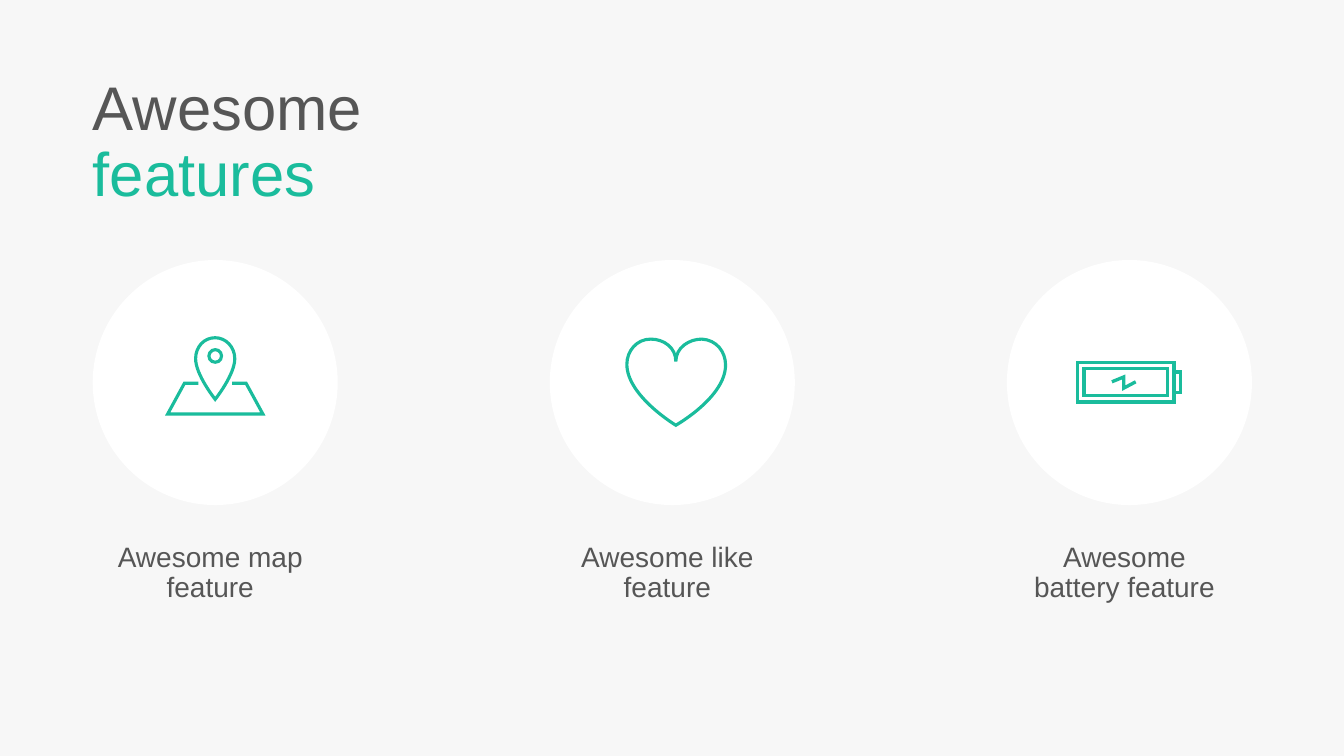
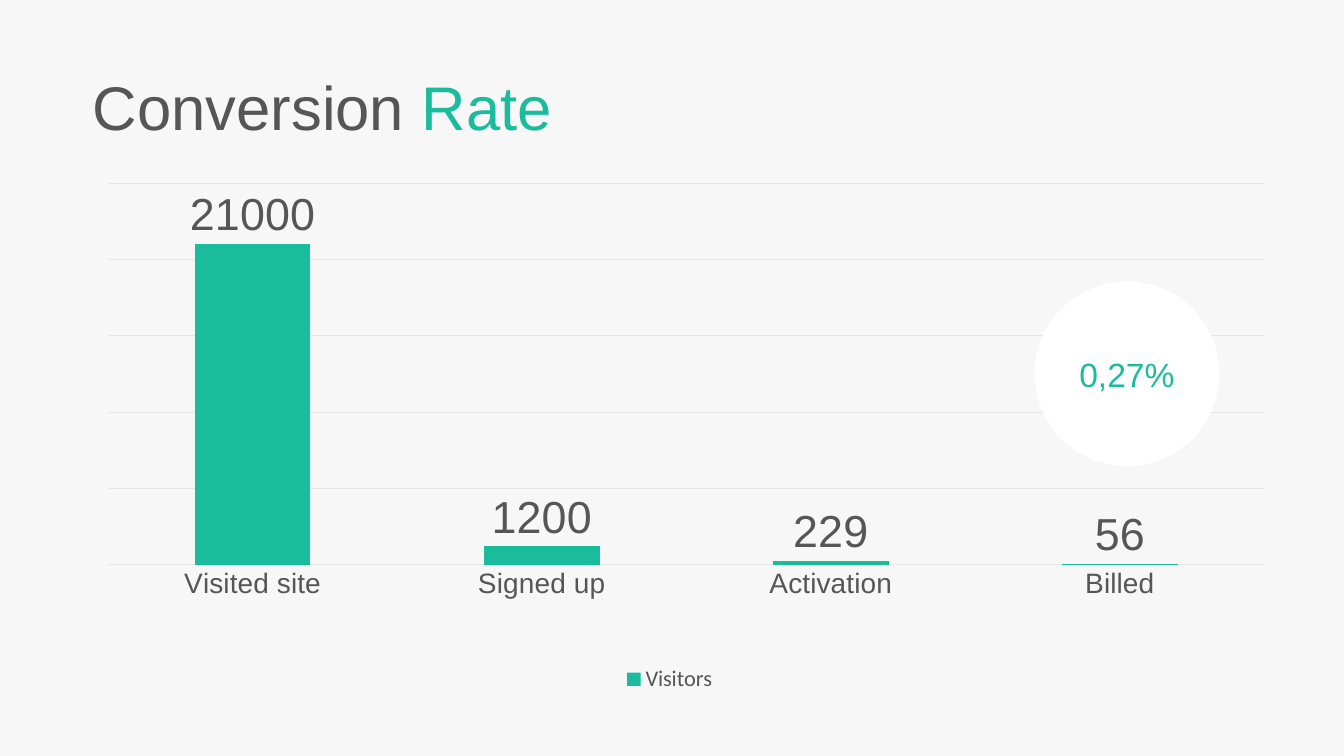
from lxml.etree import SubElement
from pptx import Presentation
from pptx.chart.data import CategoryChartData
from pptx.dml.color import RGBColor
from pptx.enum.chart import XL_CHART_TYPE as CHART, XL_LABEL_POSITION as LABEL
from pptx.enum.chart import XL_LEGEND_POSITION as LEGEND, XL_TICK_MARK as TICK
from pptx.enum.shapes import MSO_SHAPE as SHAPE
from pptx.enum.text import MSO_ANCHOR as ANCHOR, MSO_AUTO_SIZE as AUTO, PP_ALIGN as ALIGN
from pptx.oxml import parse_xml
from pptx.oxml.ns import nsdecls, qn
from pptx.util import Pt

BACK, WHITE, GREEN, GREY, RULE = "F7F7F7", "FFFFFF", "1ABC9C", "565656", "E6E6E6"
FONT = "Arial"
LEFT, TOP = 66.25, 51.5

PIN = [(101.5, 70.5), (101.5, 62, 95, 55.5, 87.5, 55.5), (79.5, 55.5, 73.5, 62, 73.5, 70.5),
       (73.5, 82, 87.5, 99.5, 87.5, 99.5), (87.5, 99.5, 101.5, 82, 101.5, 70.5)]
MAP = [(75.5, 88), (65.5, 88), (53.5, 110), (87.5, 110), (121.5, 110), (109.5, 88), (99.5, 88)]
HEART = [(55, 74.5), (55, 97, 90, 118, 90, 118), (90, 118, 125.5, 98, 125.5, 75),
         (125.5, 65.5, 119, 57, 108.5, 56.5), (99.5, 56.5, 90, 62.5, 90, 72.5),
         (90, 62.5, 81.5, 56.5, 72, 56.5), (62, 56.5, 55, 65, 55, 74.5)]
CAP = [(119.5, 80), (124, 80), (124, 94.5), (119.5, 94.5)]
BOLT = [(75, 87), (83.5, 83.5), (83.5, 91.5), (92, 87)]


def color(value):
    """Return the colour for a hex string."""
    return RGBColor.from_string(value)


def style(font, size, fill=GREY, name=FONT):
    """Set the size, colour and name of a font."""
    font.size, font.name = Pt(size), name
    font.color.rgb = color(fill)


def write(tf, *runs, size, align=ALIGN.LEFT, before=0, spacing=0.9):
    """Fill a text frame with one paragraph of (text, colour) runs."""
    tf.word_wrap, tf.vertical_anchor, tf.auto_size = True, ANCHOR.TOP, AUTO.SHAPE_TO_FIT_TEXT
    tf.margin_left, tf.margin_right = Pt(0), Pt(7.2)
    tf.margin_top = tf.margin_bottom = Pt(3.6)
    p = tf.paragraphs[0]
    p.alignment, p.space_before, p.line_spacing = align, Pt(before), spacing
    for text, fill in runs:
        r = p.add_run()
        r.text = text
        style(r.font, size, fill)


def new_slide(prs, height, *runs):
    """Add a slide with its two-colour title."""
    s = prs.slides.add_slide(prs.slide_layouts[5])
    title = s.shapes.title
    title.left, title.top, title.width, title.height = Pt(LEFT), Pt(TOP), Pt(353), Pt(height)
    write(title.text_frame, *runs, size=44, before=10)
    return s


def disc(shapes, x, y, size):
    """Add a plain white circle."""
    sp = shapes.add_shape(SHAPE.OVAL, Pt(x), Pt(y), Pt(size), Pt(size))
    sp.shadow.inherit = False
    sp.fill.solid()
    sp.fill.fore_color.rgb = color(WHITE)
    sp.line.fill.background()
    return sp


def outline(sp, width):
    """Give a shape a green mitred line and no fill."""
    sp.shadow.inherit = False
    sp.fill.background()
    sp.line.color.rgb = color(GREEN)
    sp.line.width = Pt(width)
    SubElement(sp.line._get_or_add_ln(), qn("a:miter"), lim="800000")


def draw_path(shapes, x, y, path, width=2.25, close=False):
    """Draw points and cubic curves relative to the corner of a circle."""
    ends = [(Pt(x + part[-2]), Pt(y + part[-1])) for part in path]
    builder = shapes.build_freeform(*ends[0])
    builder.add_line_segments(ends[1:], close=close)
    sp = builder.convert_to_shape()
    left, top = (min(axis) for axis in zip(*ends))
    segments = list(sp.element.iter(qn("a:lnTo")))
    for segment, part in zip(segments, path[1:]):
        if len(part) == 6:
            curve = parse_xml(f'<a:cubicBezTo {nsdecls("a")}/>')
            for px, py in zip(part[::2], part[1::2]):
                SubElement(curve, qn("a:pt"), x=str(Pt(x + px) - left), y=str(Pt(y + py) - top))
            segment.getparent().replace(segment, curve)
    outline(sp, width)


def draw_preset(shapes, kind, x, y, w, h, width=2.25):
    """Draw an outlined preset shape."""
    outline(shapes.add_shape(kind, Pt(x), Pt(y), Pt(w), Pt(h)), width)


def map_icon(s, x, y):
    """Draw a pin on a map."""
    shapes = s.shapes.add_group_shape().shapes
    draw_preset(shapes, SHAPE.OVAL, x + 83, y + 64, 9, 9)
    draw_path(shapes, x, y, PIN, close=True)
    draw_path(shapes, x, y, MAP)


def heart_icon(s, x, y):
    """Draw a heart."""
    draw_path(s.shapes, x, y, HEART, close=True)


def battery_icon(s, x, y):
    """Draw a battery with a charging bolt."""
    shapes = s.shapes.add_group_shape().shapes
    draw_preset(shapes, SHAPE.RECTANGLE, x + 50.5, y + 73, 69, 28.5, 2.38)
    draw_path(shapes, x, y, CAP, 2.38)
    draw_preset(shapes, SHAPE.RECTANGLE, x + 55, y + 77.5, 59.5, 19.5, 2.38)
    draw_path(shapes, x, y, BOLT, 2.38)


def feature(s, x, y, icon, label):
    """Place a circle, its icon and its label."""
    disc(s.shapes, x, y, 175)
    icon(s, x, y)
    tb = s.shapes.add_textbox(Pt(x + 8), Pt(y + 198.75), Pt(159), Pt(51))
    write(tb.text_frame, (label, GREY), size=20, align=ALIGN.CENTER)


def features_slide(prs):
    """Build the slide of three features."""
    s = new_slide(prs, 103, ("Awesome ", GREY), ("features", GREEN))
    features = [(map_icon, "Awesome map feature"), (heart_icon, "Awesome like feature"),
                (battery_icon, "Awesome battery feature")]
    for i, (icon, label) in enumerate(features):
        feature(s, LEFT + i * 326.5, 185.75, icon, label)


def set_layout(part, index, target="", **box):
    """Fix a chart part at fractions of the chart."""
    for old in part.findall(qn("c:layout")):
        part.remove(old)
    sizes = "".join(f'<c:{k} val="{v}"/>' for k, v in box.items())
    part.insert(index, parse_xml(
        f'<c:layout {nsdecls("c")}><c:manualLayout>{target}'
        f'<c:xMode val="edge"/><c:yMode val="edge"/>{sizes}</c:manualLayout></c:layout>'))


def visitor_chart(s, x, y, w, h):
    """Add the column chart of visitors."""
    data = CategoryChartData()
    data.categories = ["Visited site", "Signed up", "Activation", "Billed"]
    data.add_series("Visitors", [21000, 1200, 229, 56])
    frame = s.shapes.add_chart(CHART.COLUMN_CLUSTERED, Pt(x), Pt(y), Pt(w), Pt(h), data)
    chart = frame.chart
    chart.has_title = False
    style(chart.font, 10, name="Calibri")

    chart.has_legend = True
    chart.legend.position, chart.legend.include_in_layout = LEGEND.BOTTOM, False
    style(chart.legend.font, 16, name="Calibri")
    set_layout(chart.element.find(".//" + qn("c:legend")), 1, x=0.444, y=0.932)
    set_layout(chart.element.find(".//" + qn("c:plotArea")), 0,
               '<c:layoutTarget val="inner"/>', x=0.013, y=0.029, w=0.974, h=0.719)

    cats, vals = chart.category_axis, chart.value_axis
    cats.major_tick_mark = cats.minor_tick_mark = TICK.NONE
    style(cats.tick_labels.font, 20)
    vals.visible, vals.has_major_gridlines = False, True
    vals.minimum_scale, vals.maximum_scale, vals.major_unit = 0, 25000, 5000
    for line in (cats.format.line, vals.major_gridlines.format.line):
        line.color.rgb, line.width = color(RULE), Pt(0.75)

    plot = chart.plots[0]
    plot.gap_width, plot.vary_by_categories = 150, False
    fill = plot.series[0].format.fill
    fill.solid()
    fill.fore_color.rgb = color(GREEN)
    labels = plot.series[0].data_labels
    labels.show_value, labels.position = True, LABEL.OUTSIDE_END
    style(labels.font, 32)


def rate_badge(s, x, y, size):
    """Add the white circle with the rate."""
    tf = disc(s.shapes, x, y, size).text_frame
    write(tf, ("0,27%", GREEN), size=24, align=ALIGN.CENTER, spacing=1.0)
    tf.vertical_anchor, tf.auto_size, tf.margin_left = ANCHOR.MIDDLE, AUTO.NONE, Pt(7.2)


def conversion_slide(prs):
    """Build the slide of the conversion rate."""
    s = new_slide(prs, 55.5, ("Conversion ", GREY), ("Rate", GREEN))
    visitor_chart(s, LEFT, 120, 848, 379)
    rate_badge(s, 739, 201, 132)


def main():
    """Build and save the presentation."""
    prs = Presentation()
    prs.slide_width, prs.slide_height = Pt(960), Pt(540)
    fill = prs.slide_master.background.fill
    fill.solid()
    fill.fore_color.rgb = color(BACK)
    features_slide(prs)
    conversion_slide(prs)
    prs.save("out.pptx")


if __name__ == "__main__":
    main()
